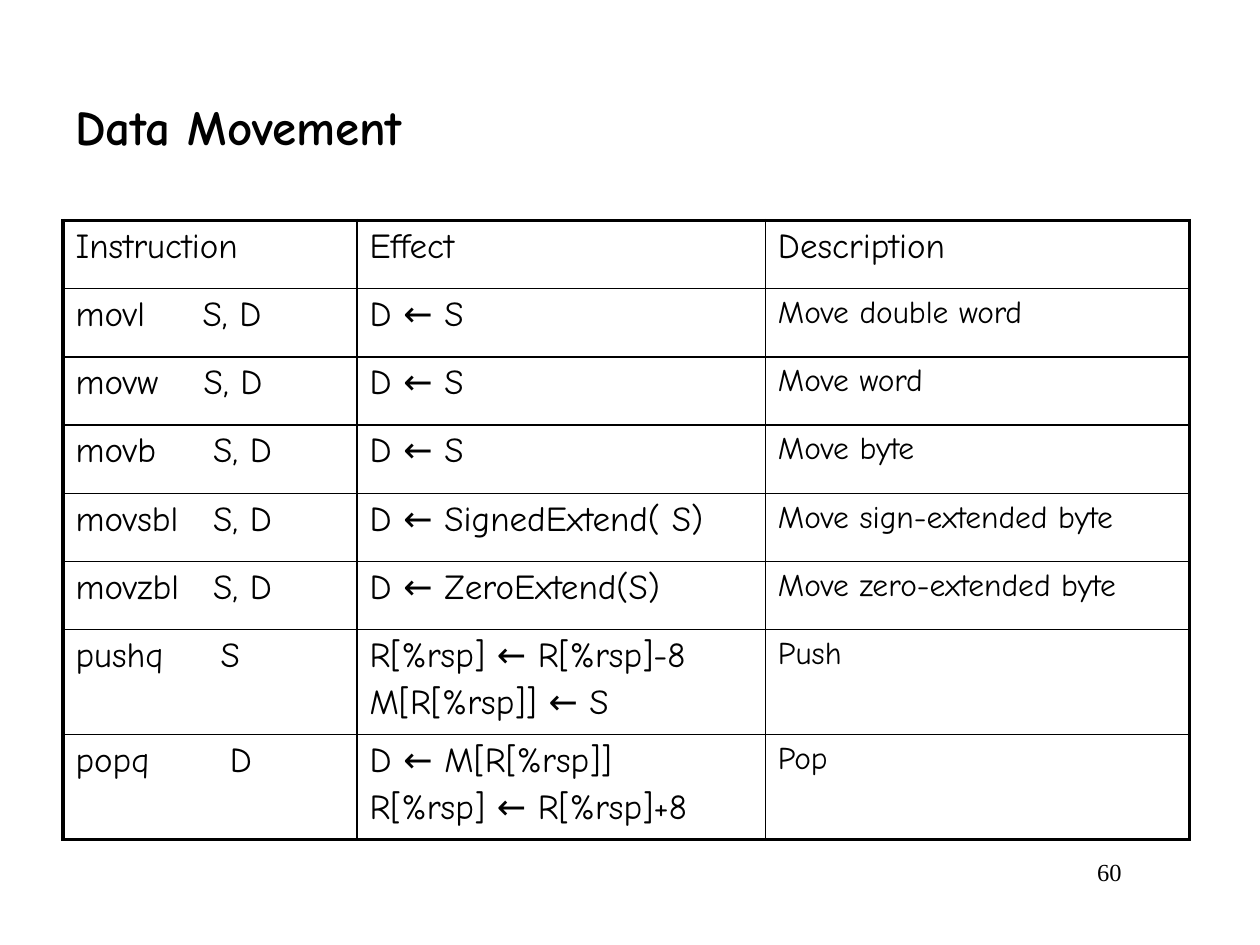
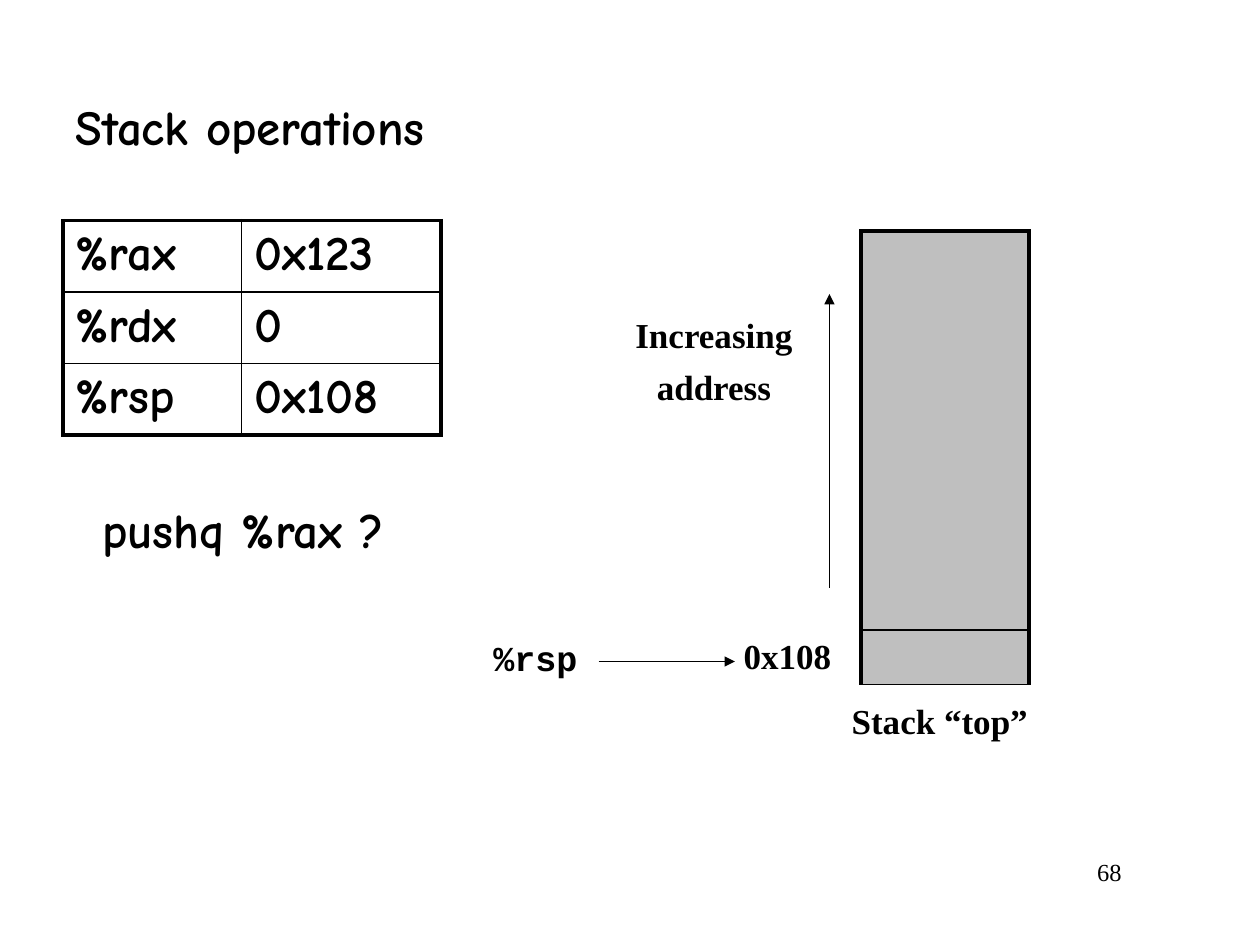
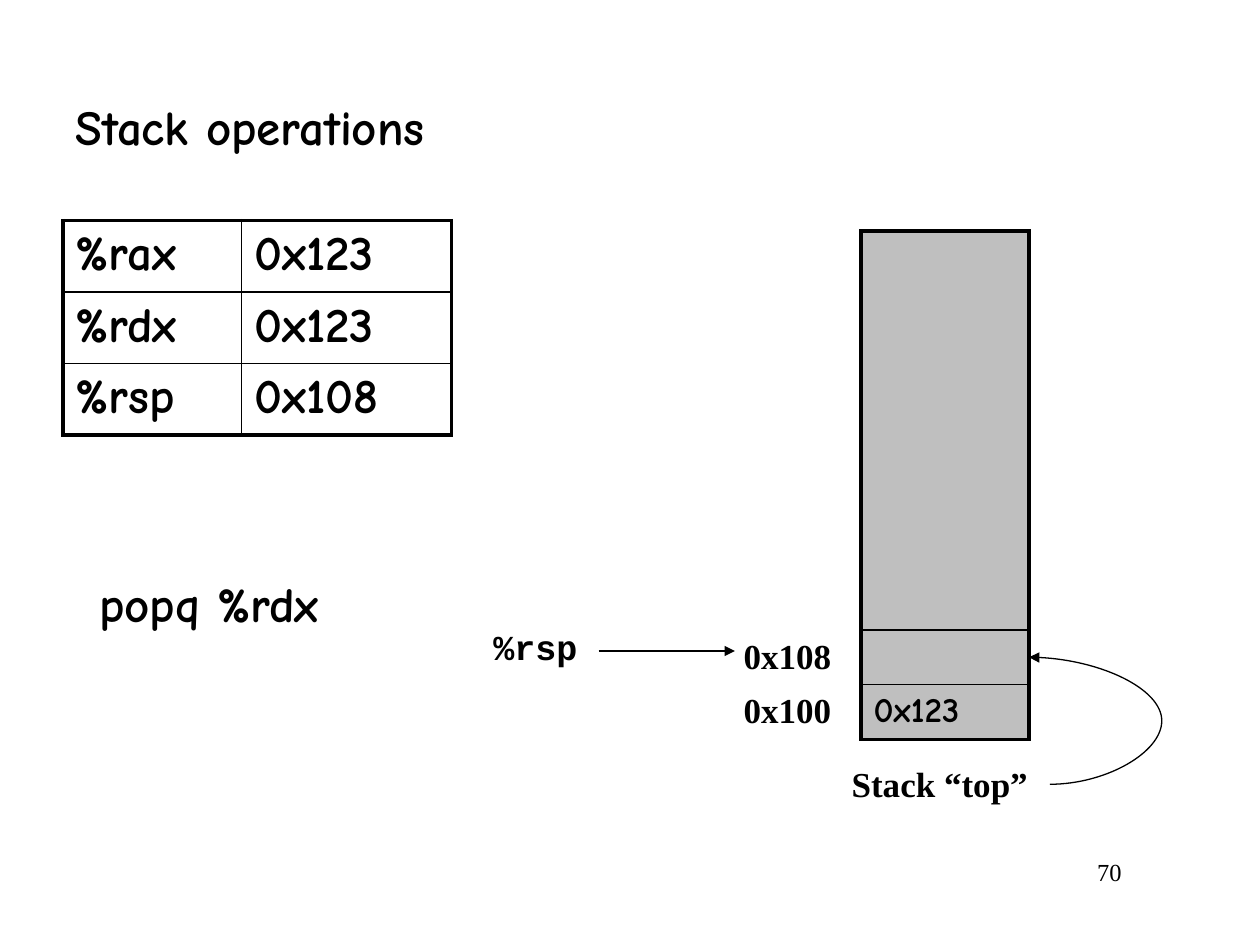
from lxml.etree import SubElement
from pptx import Presentation
from pptx.dml.color import RGBColor
from pptx.enum.shapes import MSO_CONNECTOR, MSO_SHAPE
from pptx.enum.text import MSO_ANCHOR, PP_ALIGN
from pptx.oxml.ns import qn
from pptx.util import Emu, Pt

PIXEL = 7620  # EMU, 120 px to the inch
BLACK = RGBColor(0x00, 0x00, 0x00)
WHITE = RGBColor(0xFF, 0xFF, 0xFF)
GREY = RGBColor(0x80, 0x80, 0x80)
COMIC, TIMES, COURIER = "Comic Neue", "Times New Roman", "Courier New"
THIN, THICK, HAIRLINE = 1, 2.25, 0.75


def px(*lengths):
    return [Emu(length * PIXEL) for length in lengths]


def write_text(frame, text, font=TIMES, size=20, bold=False, align=PP_ALIGN.LEFT,
               anchor=MSO_ANCHOR.TOP, gap=0, line_spacing=None, wrap=True, tab=None):
    """Fill a text frame, one paragraph for each line of text."""
    frame.word_wrap = wrap
    frame.vertical_anchor = anchor
    for index, line in enumerate(text.split("\n")):
        paragraph = frame.add_paragraph() if index else frame.paragraphs[0]
        if tab:
            tabs = SubElement(paragraph._p.get_or_add_pPr(), qn("a:tabLst"))
            SubElement(tabs, qn("a:tab"), pos=str(tab * PIXEL), algn="l")
        paragraph.alignment = align
        if line_spacing:
            paragraph.line_spacing = line_spacing
        if index:
            paragraph.space_before = Pt(gap)
        run = paragraph.add_run()
        run.text = line
        run.font.name, run.font.size, run.font.bold = font, Pt(size), bold
        run.font.color.rgb = BLACK


class Deck:
    def __init__(self):
        self.presentation = Presentation()
        self.presentation.slide_width, self.presentation.slide_height = px(1200, 900)
        self.slide = None

    def add_slide(self, title, number):
        self.slide = self.presentation.slides.add_slide(self.presentation.slide_layouts[6])
        self.text(number, 910, 810, 170, 60, size=14, align=PP_ALIGN.RIGHT)
        self.text(title, 60, 60, 1060, 120, font=COMIC, size=28, bold=True,
                  anchor=MSO_ANCHOR.MIDDLE)

    def text(self, text, left, top, width, height, **style):
        box = self.slide.shapes.add_textbox(*px(left, top, width, height))
        write_text(box.text_frame, text, **style)

    def label(self, text, left, top, width):
        """Centred bold caption in a white outline."""
        shape = self.slide.shapes.add_shape(MSO_SHAPE.RECTANGLE, *px(left, top, width, 53))
        shape.shadow.inherit = False
        shape.fill.background()
        shape.line.color.rgb = WHITE
        shape.line.width = Pt(HAIRLINE)
        write_text(shape.text_frame, text, bold=True, align=PP_ALIGN.CENTER)

    def arrow(self, start, end, kind=MSO_CONNECTOR.STRAIGHT, bend=None):
        connector = self.slide.shapes.add_connector(kind, *px(*start, *end))
        connector.line.color.rgb = BLACK
        connector.line.width = Pt(HAIRLINE)
        SubElement(connector.line._get_or_add_ln(), qn("a:tailEnd"), type="triangle")
        properties = connector._element.spPr
        SubElement(properties, qn("a:effectLst"))
        if bend is not None:
            guides = properties.find(qn("a:prstGeom")).find(qn("a:avLst"))
            SubElement(guides, qn("a:gd"), name="adj1", fmla=f"val {bend}")

    def table(self, left, top, columns, heights, rows, style, fill=None, open_bottom=False):
        """Ruled table; style(row, column) gives the text format of a cell."""
        table = self.slide.shapes.add_table(
            len(heights), len(columns), *px(left, top, sum(columns), sum(heights))).table
        table.first_row = table.horz_banding = False
        for column, width in zip(table.columns, px(*columns)):
            column.width = width
        for row, height in zip(table.rows, px(*heights)):
            row.height = height
        last_row, last_column = len(heights) - 1, len(columns) - 1
        for row, texts in enumerate(rows):
            for column, text in enumerate(texts):
                cell = table.cell(row, column)
                self.borders(cell, L=column == 0, R=column == last_column, T=row == 0,
                             B=row == last_row and not open_bottom)
                self.cell_fill(cell, fill)
                if text:
                    write_text(cell.text_frame, text, gap=4, **style(row, column))

    def borders(self, cell, **outer_sides):
        properties = cell._tc.get_or_add_tcPr()
        for side, is_outer in outer_sides.items():
            width = Pt(THICK if is_outer else THIN)
            line = SubElement(properties, qn(f"a:ln{side}"), w=str(width))
            solid = SubElement(line, qn("a:solidFill"))
            SubElement(solid, qn("a:srgbClr"), val=str(BLACK))

    def cell_fill(self, cell, colour):
        if colour is None:
            cell.fill.background()
            return
        cell.fill.solid()
        cell.fill.fore_color.rgb = colour
        solid = cell._tc.tcPr.find(qn("a:solidFill"))
        SubElement(solid[0], qn("a:alpha"), val="50000")

    # Parts of the stack slides
    def registers(self, values, value_width):
        rows = list(zip(("%rax", "%rdx", "%rsp"), values))
        self.table(60, 210, [170, value_width], [68] * 3, rows,
                   lambda row, column: dict(font=COMIC, size=28, bold=True))

    def command(self, text, left, top, width):
        self.text(text, left, top, width, 68, font=COMIC, size=28, bold=True,
                  align=PP_ALIGN.CENTER, wrap=False)

    def stack(self, slots, open_bottom=False):
        rows = [[slot] for slot in ["", *slots]]
        self.table(820, 220, [160], [380] + [52] * len(slots), rows,
                   lambda row, column: dict(font=COMIC, size=20, bold=True),
                   fill=GREY, open_bottom=open_bottom)
        self.label("0x108", 690, 598, 120)

    def stack_pointer(self, top):
        self.text("%rsp", 450, top, 120, 53, font=COURIER, bold=True, align=PP_ALIGN.CENTER)
        self.arrow((570, top + 30), (700, top + 30))


# Each instruction: name, operands, position of the operands, effect, description
INSTRUCTIONS = [
    ("movl", "S, D", 121, "D ← S", "Move double word"),
    ("movw", "S, D", 122, "D ← S", "Move word"),
    ("movb", "S, D", 131, "D ← S", "Move byte"),
    ("movsbl", "S, D", 131, "D ← SignedExtend( S)", "Move sign-extended byte"),
    ("movzbl", "S, D", 131, "D ← ZeroExtend(S)", "Move zero-extended byte"),
    ("pushq", "S", 138, "R[%rsp] ← R[%rsp]-8\nM[R[%rsp]] ← S", "Push"),
    ("popq", "D", 147, "D ← M[R[%rsp]]\nR[%rsp] ← R[%rsp]+8", "Pop"),
]


def instruction_style(row, column):
    size = 18 if row and column == 2 else 20
    tab = INSTRUCTIONS[row - 1][2] if row and column == 0 else None
    return dict(font=COMIC, size=size, tab=tab)


def main():
    deck = Deck()

    # Instruction table
    deck.add_slide("Data Movement", "60")
    rows = [("Instruction", "Effect", "Description")]
    rows += [(f"{name}\t{operands}", effect, description)
             for name, operands, _, effect, description in INSTRUCTIONS]
    deck.table(60, 210, [280, 389, 404], [65] * 6 + [100] * 2, rows, instruction_style)

    # Stack before the push
    deck.add_slide("Stack operations", "68")
    deck.registers(("0x123", "0", "0x108"), 190)
    deck.arrow((790, 560), (790, 280))
    deck.text("Increasing\naddress", 590, 300, 180, 96, bold=True,
              align=PP_ALIGN.CENTER, gap=11, line_spacing=0.8)
    deck.command("pushq %rax ?", 64, 470, 335)
    deck.label("Stack “top”", 790, 660, 210)
    deck.stack([""], open_bottom=True)
    deck.stack_pointer(600)

    # Stack after the pop
    deck.add_slide("Stack operations", "70")
    deck.registers(("0x123", "0x123", "0x108"), 200)
    deck.label("0x100", 690, 650, 120)
    deck.label("Stack “top”", 790, 720, 210)
    deck.stack(["", "0x123"])
    deck.stack_pointer(590)
    deck.arrow((1000, 747), (980, 626), MSO_CONNECTOR.CURVE, bend=-533300)
    deck.command("popq %rdx", 56, 540, 286)

    deck.presentation.save("out.pptx")


if __name__ == "__main__":
    main()
